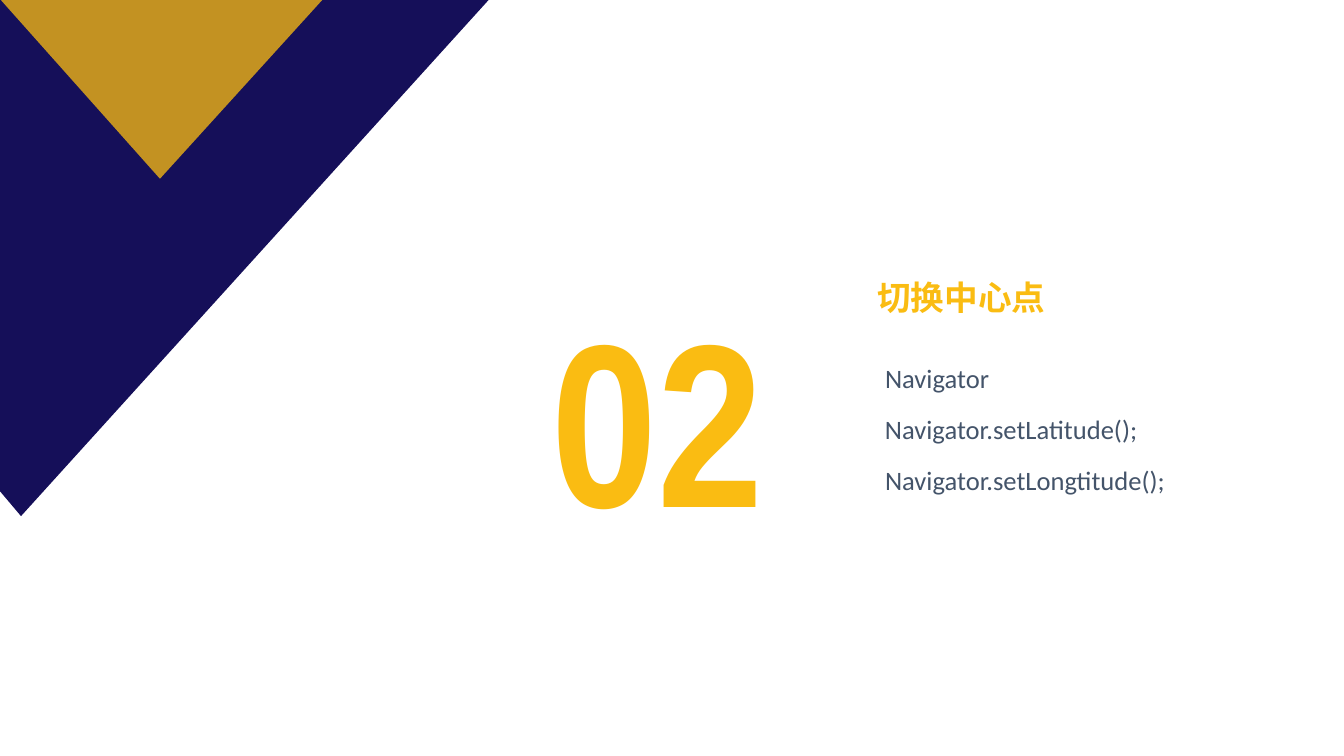
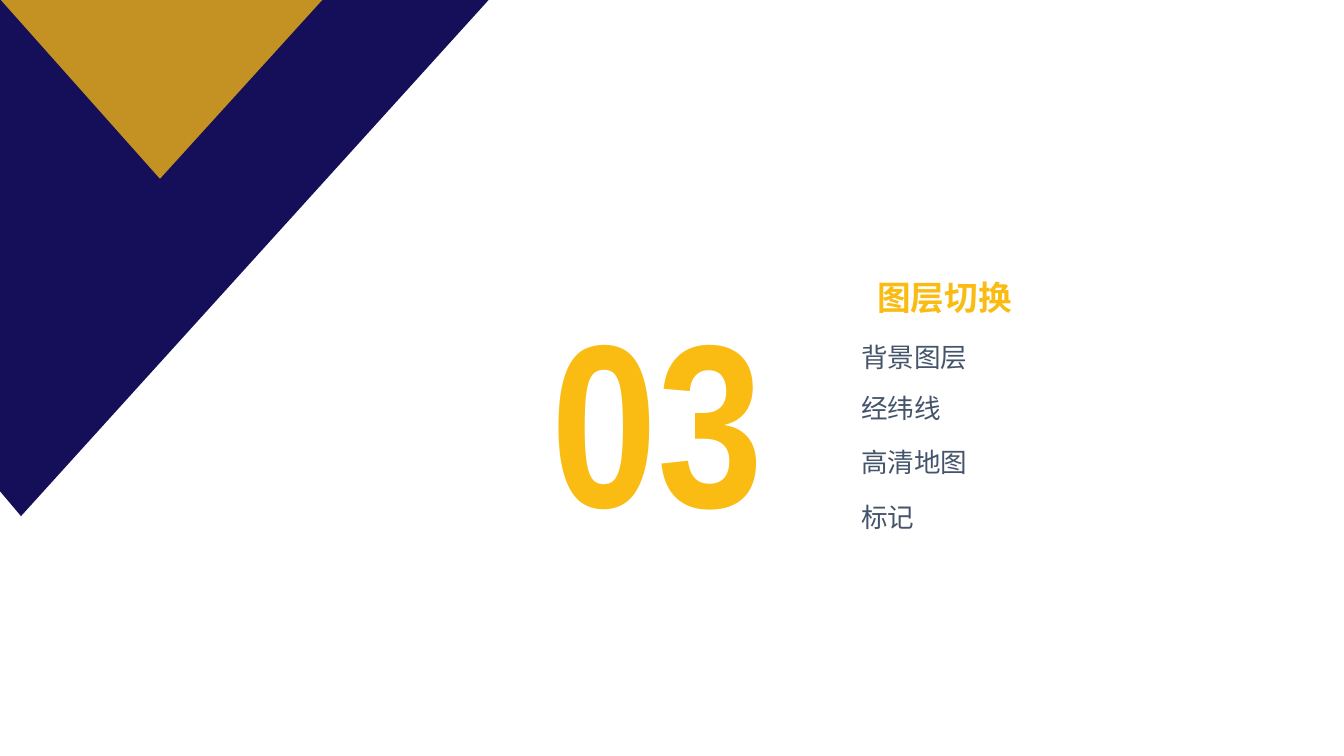
from pptx import Presentation
from pptx.dml.color import RGBColor
from pptx.enum.shapes import MSO_SHAPE
from pptx.enum.text import MSO_AUTO_SIZE, PP_ALIGN
from pptx.oxml.ns import qn
from pptx.util import Inches, Pt
from lxml.etree import SubElement

COLORS = {"navy": "150F59", "gold": "FABC12", "slate": "44546A"}
CJK_FONT = "Noto Sans CJK SC"

SECTIONS = [
    {
        "number": " 02",
        "title": "切换中心点",
        "left": 9.16,
        "items": [
            ("Navigator", 3.74, 2.85),
            ("Navigator.setLatitude();", 4.27, 3.56),
            ("Navigator.setLongtitude();", 4.8, 3.69),
        ],
    },
    {
        "number": " 03",
        "title": "图层切换",
        "left": 8.91,
        "items": [
            ("背景图层", 3.52, 2.85),
            ("经纬线", 4.05, 2.85),
            ("高清地图", 4.62, 2.85),
            ("标记", 5.19, 2.85),
        ],
    },
]

STYLES = {
    "number": {"font": "Arial Narrow", "size": 175, "color": "gold", "bold": True},
    "title": {"font": CJK_FONT, "size": 25.3, "color": "gold", "bold": True},
    "item": {"font": "Calibri", "size": 20, "color": "slate", "bold": False},
}

BAND_POINTS = [(0, -0.01), (5.12, -0.01), (0.22, 5.4), (0, 5.14)]
TRIANGLE_BOX = (0, -0.01, 3.38, 1.88)
NUMBER_BOX = (5.12, 2.83, 3.56, 3.05)
TITLE_BOX = (9.08, 2.85, 3.77, 0.53)
ITEM_HEIGHT = 0.44


def paint(shape, color):
    shape.fill.solid()
    shape.fill.fore_color.rgb = RGBColor.from_string(COLORS[color])
    shape.line.fill.background()
    shape.shadow.inherit = False


def add_corner(slide):
    corner = slide.shapes.add_group_shape()
    points = [(Inches(x), Inches(y)) for x, y in BAND_POINTS]
    builder = corner.shapes.build_freeform(*points[0])
    builder.add_line_segments(points[1:], close=True)
    paint(builder.convert_to_shape(), "navy")

    triangle = corner.shapes.add_shape(
        MSO_SHAPE.ISOSCELES_TRIANGLE, *map(Inches, TRIANGLE_BOX)
    )
    triangle.rotation = 180
    triangle.adjustments[0] = 0.505
    paint(triangle, "gold")
    fill_color = triangle.fill._xPr.find(qn("a:solidFill"))[0]
    SubElement(fill_color, qn("a:alpha"), val="76000")


def add_text(slide, text, box, style_name, alignment=PP_ALIGN.LEFT):
    style = STYLES[style_name]
    text_frame = slide.shapes.add_textbox(*map(Inches, box)).text_frame
    text_frame.word_wrap = True
    text_frame.auto_size = MSO_AUTO_SIZE.SHAPE_TO_FIT_TEXT
    paragraph = text_frame.paragraphs[0]
    paragraph.alignment = alignment
    run = paragraph.add_run()
    run.text = text
    run.font.name = style["font"]
    run.font.size = Pt(style["size"])
    run.font.bold = style["bold"]
    run.font.color.rgb = RGBColor.from_string(COLORS[style["color"]])
    SubElement(run.font._element, qn("a:ea"), typeface=CJK_FONT)


def add_section(presentation, section):
    slide = presentation.slides.add_slide(presentation.slide_layouts[6])
    add_corner(slide)
    add_text(slide, section["number"], NUMBER_BOX, "number", PP_ALIGN.JUSTIFY)
    add_text(slide, section["title"], TITLE_BOX, "title")
    for text, top, width in section["items"]:
        add_text(slide, text, (section["left"], top, width, ITEM_HEIGHT), "item")


def main():
    presentation = Presentation()
    presentation.slide_width = Inches(14.06)
    presentation.slide_height = Inches(7.91)
    for section in SECTIONS:
        add_section(presentation, section)
    presentation.save("out.pptx")


if __name__ == "__main__":
    main()
